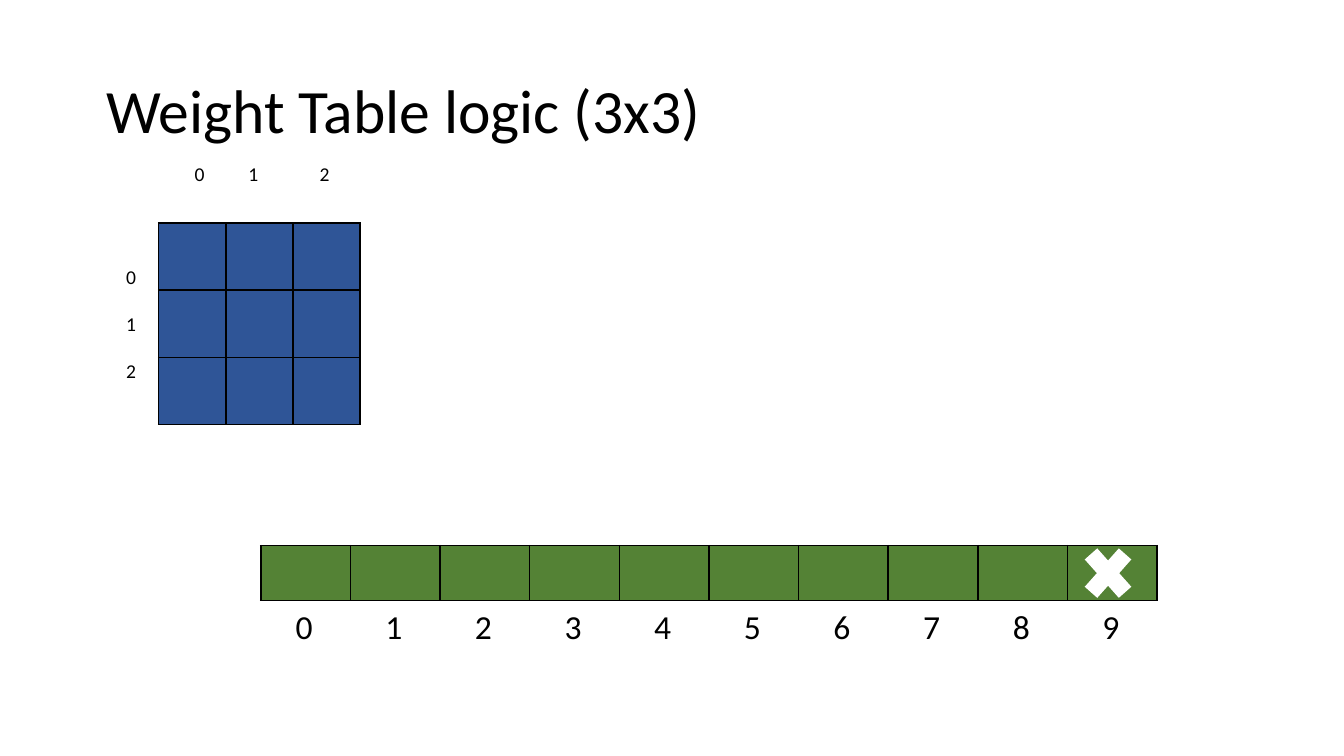
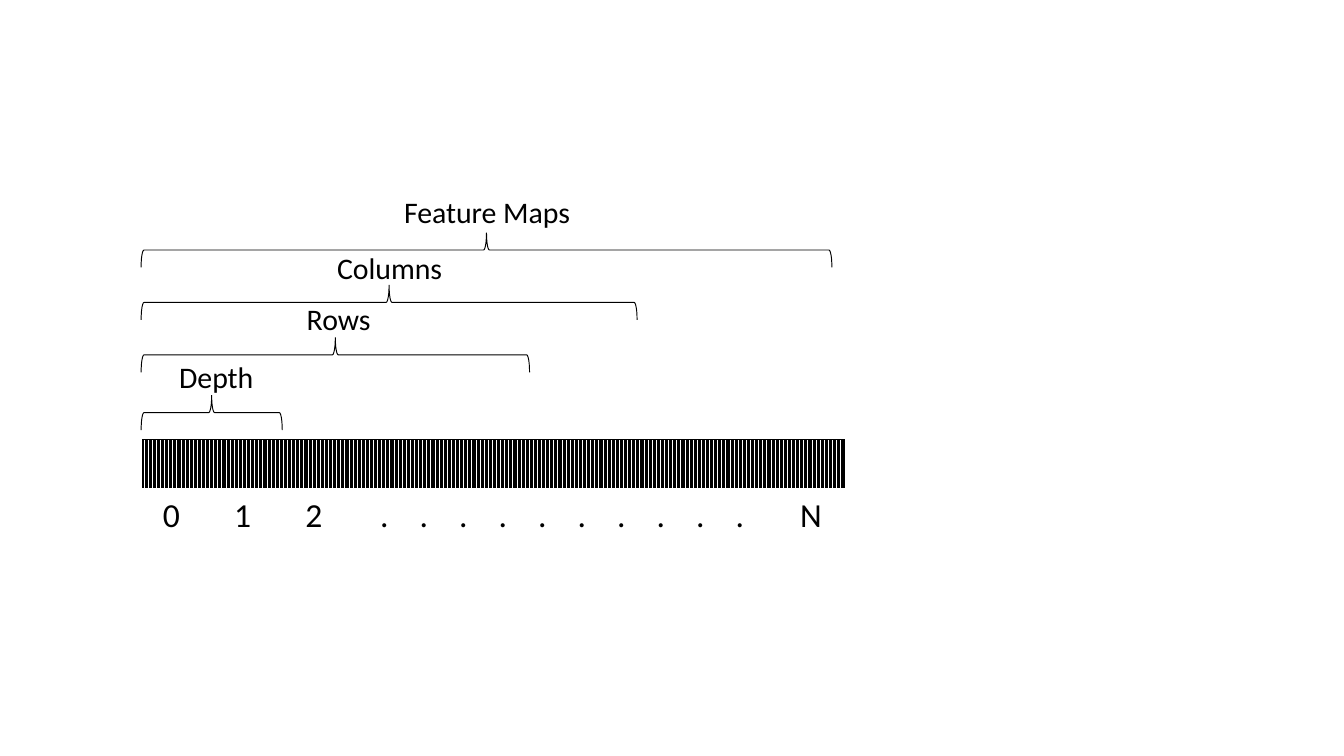
"""Build two slides on weight table indexing and memory layout."""
from lxml.etree import SubElement
from pptx import Presentation
from pptx.dml.color import RGBColor
from pptx.enum.dml import MSO_PATTERN
from pptx.enum.shapes import MSO_SHAPE as Shape
from pptx.enum.text import MSO_ANCHOR as Anchor, MSO_AUTO_SIZE as AutoSize, PP_ALIGN as Align
from pptx.oxml.ns import qn
from pptx.util import Inches, Pt

BLACK = RGBColor(0x00, 0x00, 0x00)
WHITE = RGBColor(0xFF, 0xFF, 0xFF)
BLUE = RGBColor(0x2F, 0x55, 0x97)
GREEN = RGBColor(0x54, 0x82, 0x35)
FONT = "Calibri"
TITLE_ONLY, BLANK = 5, 6
BRACE_LEFT, BRACE_DEPTH = 1.05, 0.26
BRACES = [
    ("Depth", 1.05, 2.94, 1.06, 2.62, 1.1),
    ("Rows", 2.89, 2.51, 1.97, 2.19, 1.1),
    ("Columns", 3.69, 2.12, 2.35, 1.81, 1.1),
    ("Feature Maps", 5.14, 1.73, 2.79, 1.39, 1.67),
]


def inches(*lengths):
    """Convert several lengths to Inches."""
    return [Inches(length) for length in lengths]


def write(frame, text, size, align=Align.LEFT):
    """Put one formatted paragraph in a text frame and return it."""
    para = frame.paragraphs[0]
    para.text = text
    para.alignment = align
    para.font.size = Pt(size)
    para.font.name = FONT
    para.font.color.rgb = BLACK
    return para


def add_title(page, text):
    """Fill and place the title placeholder."""
    title = page.shapes.title
    title.left, title.top, title.width, title.height = inches(0.69, 0.3, 8.62, 1.09)
    frame = title.text_frame
    frame.auto_size = AutoSize.NONE
    frame.vertical_anchor = Anchor.MIDDLE
    write(frame, text, 33).line_spacing = 0.9


def add_label(page, text, place, size, align=Align.LEFT, anchor=Anchor.TOP):
    """Add a wrapped text box and return its paragraph and frame."""
    frame = page.shapes.add_textbox(*inches(*place)).text_frame
    frame.word_wrap = True
    frame.vertical_anchor = anchor
    return write(frame, text, size, align), frame


def set_tabs(para, positions):
    """Set left tab stops, in inches, on a paragraph."""
    properties = para._p.get_or_add_pPr()
    tabs = properties.makeelement(qn("a:tabLst"))
    properties.insert_element_before(tabs, "a:defRPr", "a:extLst")
    for position in positions:
        SubElement(tabs, qn("a:tab"), pos=str(Inches(position)), algn="l")


def set_borders(cell, color):
    """Draw one-point borders round a cell, or none without a colour."""
    properties = cell._tc.get_or_add_tcPr()
    for side in ("a:lnL", "a:lnR", "a:lnT", "a:lnB"):
        line = SubElement(properties, qn(side), w=str(Pt(1)))
        if color is None:
            SubElement(line, qn("a:noFill"))
        else:
            fill = SubElement(line, qn("a:solidFill"))
            SubElement(fill, qn("a:srgbClr"), val=str(color))


def add_grid(page, left, top, widths, heights, fill, border, labels=()):
    """Add a table with plain cells and optional labels in its first row."""
    place = inches(left, top, sum(widths), sum(heights))
    table = page.shapes.add_table(len(heights), len(widths), *place).table
    table.first_row = table.horz_banding = False
    for column, width in zip(table.columns, widths):
        column.width = Inches(width)
    for row, height in zip(table.rows, heights):
        row.height = Inches(height)
    for cell in table.iter_cells():
        set_borders(cell, border)
        if fill is None:
            cell.fill.background()
        else:
            cell.fill.solid()
            cell.fill.fore_color.rgb = fill
    for column, label in enumerate(labels):
        write(table.cell(0, column).text_frame, label, 18, Align.CENTER)
    return table


def add_figure(page, kind, place, line_color, line_width):
    """Add an unfilled preset shape with sharp corners and no shadow."""
    figure = page.shapes.add_shape(kind, *inches(*place))
    figure.shadow.inherit = False
    figure.fill.background()
    figure.line.color.rgb = line_color
    figure.line.width = Pt(line_width)
    SubElement(figure.line._get_or_add_ln(), qn("a:miter"), lim="800000")
    return figure


def add_brace(page, text, span, top, text_left, text_top, text_width):
    """Add an upward brace of the given span and its caption."""
    left = BRACE_LEFT + (span - BRACE_DEPTH) / 2
    place = (left, top - (span - BRACE_DEPTH) / 2, BRACE_DEPTH, span)
    add_figure(page, Shape.RIGHT_BRACE, place, BLACK, 0.5).rotation = 270
    add_label(page, text, (text_left, text_top, text_width, 0.37), 16, Align.CENTER)


def build_weight_table(deck):
    """Show a 3x3 weight table above its flat array."""
    page = deck.slides.add_slide(deck.slide_layouts[TITLE_ONLY])
    add_title(page, "Weight Table logic (3x3)")
    add_grid(page, 1.18, 1.66, [0.5] * 3, [0.5] * 3, BLUE, BLACK)
    para, _ = add_label(page, "0\t1\t2", (1.35, 1.11, 1.33, 0.36), 10.5, anchor=Anchor.MIDDLE)
    set_tabs(para, (0.4, 0.93))
    _, frame = add_label(page, "0 1 2", (0.6, 1.82, 0.75, 1.18), 10.5, Align.CENTER, Anchor.MIDDLE)
    frame._txBody.bodyPr.set("vert", "wordArtVert")
    widths = [6.67 / 10] * 10
    add_grid(page, 1.94, 4.06, widths, [0.41], GREEN, BLACK)
    add_grid(page, 1.93, 4.47, widths, [0.41], WHITE, None, [str(index) for index in range(10)])
    cross = add_figure(page, Shape.MATH_MULTIPLY, (8.01, 4, 0.47, 0.53), WHITE, 1)
    cross.fill.solid()
    cross.fill.fore_color.rgb = WHITE


def build_memory_layout(deck):
    """Show how nested dimensions span the flat memory."""
    page = deck.slides.add_slide(deck.slide_layouts[BLANK])
    memory = add_figure(page, Shape.RECTANGLE, (1.06, 3.27, 5.22, 0.37), BLACK, 1)
    memory.fill.patterned()
    memory.fill.pattern = MSO_PATTERN.DARK_VERTICAL
    memory.fill.fore_color.rgb = BLACK
    memory.fill.back_color.rgb = WHITE
    for brace in BRACES:
        add_brace(page, *brace)
    widths = [0.53, 0.53, 0.53, 3.17, 0.53]
    labels = ["0", "1", "2", " ".join("." * 10), "N"]
    table = add_grid(page, 1.01, 3.64, widths, [0.41], None, WHITE, labels)
    dots = table.cell(0, 3).text_frame.paragraphs[0].runs[0]
    dots._r.get_or_add_rPr().set("spc", "630")


def main():
    """Build and save the deck."""
    deck = Presentation()
    deck.slide_width = Inches(10)
    deck.slide_height = deck.slide_width * 9 // 16
    build_weight_table(deck)
    build_memory_layout(deck)
    deck.save("out.pptx")


if __name__ == "__main__":
    main()
